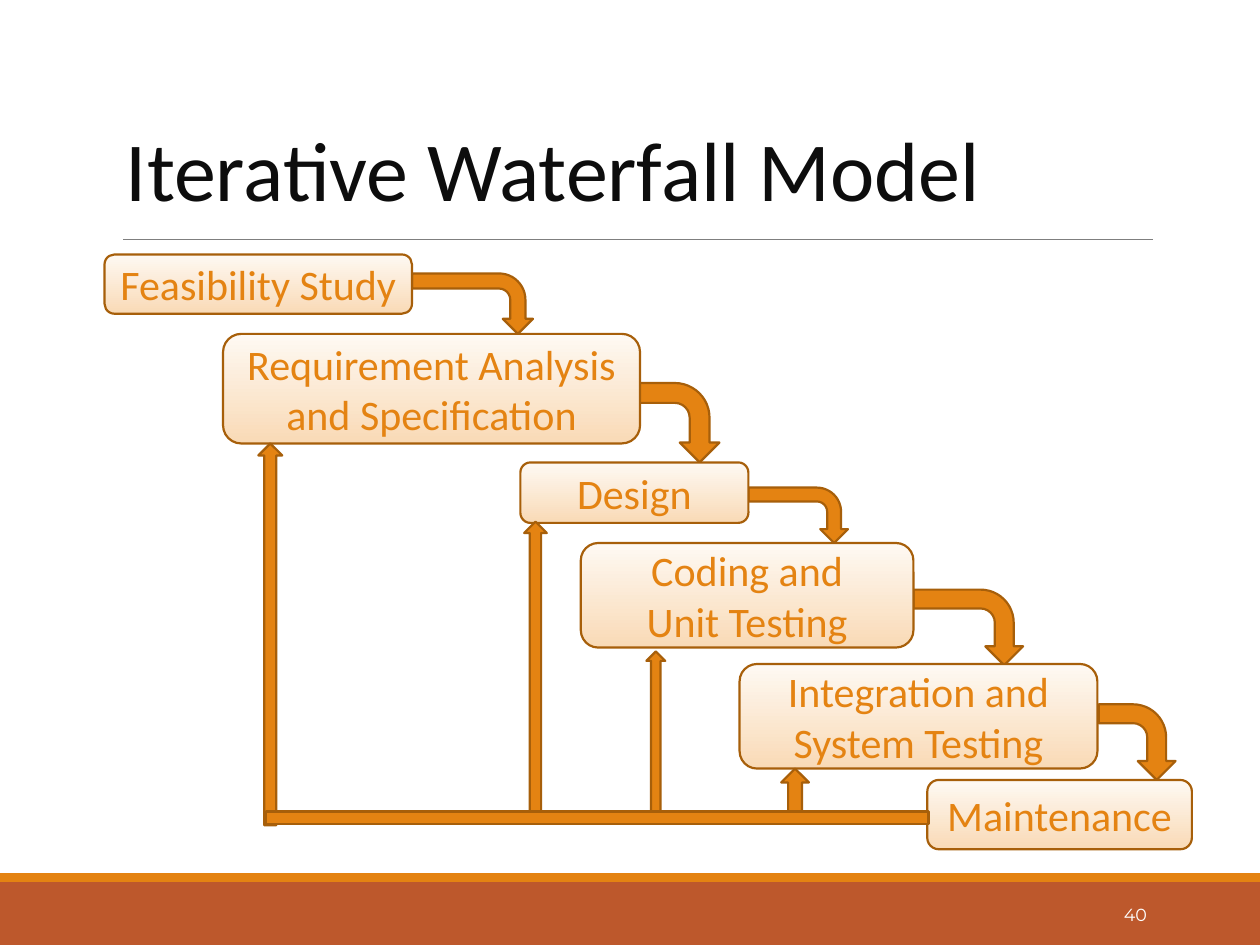
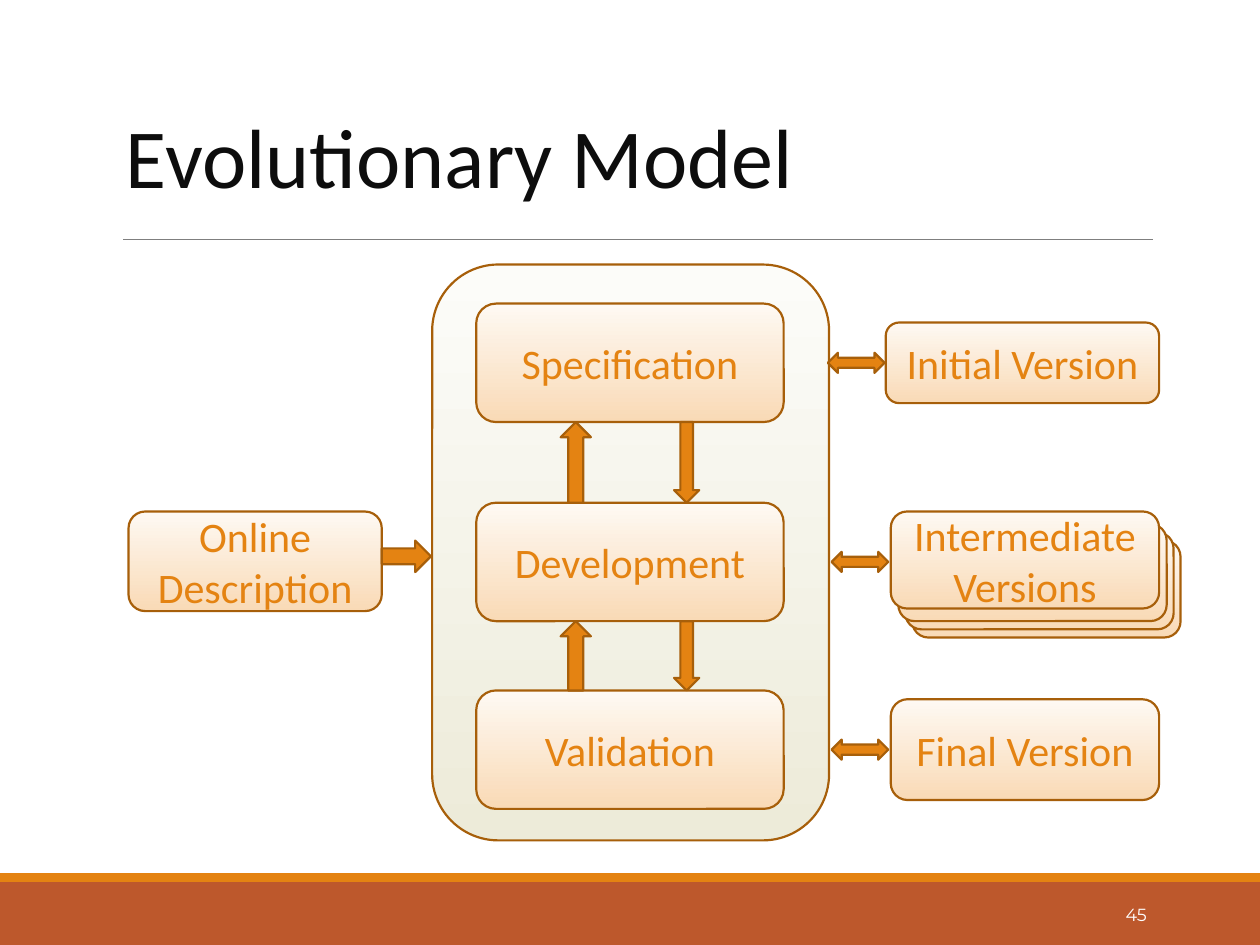
from dataclasses import dataclass
from itertools import pairwise

from lxml.etree import SubElement
from pptx import Presentation
from pptx.dml.color import RGBColor
from pptx.enum.shapes import MSO_CONNECTOR as Line, MSO_SHAPE as Shape
from pptx.enum.text import MSO_ANCHOR, PP_ALIGN as Align
from pptx.oxml.ns import qn
from pptx.shapes.autoshape import Shape as AutoShape
from pptx.slide import Slide
from pptx.util import Inches, Pt

WHITE = RGBColor(0xFF, 0xFF, 0xFF)
INK = RGBColor(0x0D, 0x0D, 0x0D)
GRAY = RGBColor(0x7F, 0x7F, 0x7F)
RUST = RGBColor(0xBD, 0x58, 0x2C)
ORANGE = RGBColor(0xE4, 0x83, 0x12)
BROWN = RGBColor(0xA7, 0x5F, 0x0A)
PEACH = (RGBColor(0xFE, 0xF9, 0xF3), RGBColor(0xF9, 0xDA, 0xB6))
IVORY = (RGBColor(0xFC, 0xFC, 0xF9), RGBColor(0xED, 0xEB, 0xD9))


@dataclass(frozen=True)
class Box:
    left: float
    top: float
    width: float
    height: float

    @property
    def bottom(self) -> float:
        return self.top + self.height

    def emu(self) -> tuple:
        return tuple(Inches(v) for v in (self.left, self.top, self.width, self.height))

    def turned(self) -> "Box":
        shift = (self.width - self.height) / 2
        return Box(self.left + shift, self.top - shift, self.height, self.width)


@dataclass(frozen=True)
class Step:
    text: str
    box: Box


def write(sp: AutoShape, text: str, *, size: float = 24, color: RGBColor = ORANGE,
          font: str = "Calibri", align: Align = Align.CENTER, inset: float = 0.1,
          spacing: float = 1, before: float = 0) -> None:
    tf = sp.text_frame
    tf.word_wrap = True
    tf.vertical_anchor = MSO_ANCHOR.MIDDLE
    tf.margin_left = tf.margin_right = Inches(inset)
    tf.margin_top = tf.margin_bottom = Inches(0.05)
    tf.text = text
    for p in tf.paragraphs:
        p.alignment = align
        p.line_spacing = spacing
        p.space_before = Pt(before)
        for r in p.runs:
            r.font.name = font
            r.font.size = Pt(size)
            r.font.color.rgb = color


def draw(s: Slide, kind: Shape, box: Box, fill: RGBColor | tuple = ORANGE,
         outlined: bool = True) -> AutoShape:
    sp = s.shapes.add_shape(kind, *box.emu())
    sp.shadow.inherit = False
    if isinstance(fill, RGBColor):
        sp.fill.solid()
        sp.fill.fore_color.rgb = fill
    else:
        sp.fill.gradient()
        sp.fill.gradient_angle = 270
        for stop, color in zip(sp.fill.gradient_stops, fill):
            stop.color.rgb = color
    if outlined:
        sp.line.color.rgb = BROWN
        sp.line.width = Pt(1.25)
    else:
        sp.line.fill.background()
    return sp


def draw_step(s: Slide, step: Step) -> None:
    write(draw(s, Shape.ROUNDED_RECTANGLE, step.box, PEACH), step.text)


def draw_bent_arrow(s: Slide, box: Box) -> None:
    draw(s, Shape.BENT_ARROW, box.turned()).rotation = 90


def add_slide(prs: Presentation, title: str, title_top: float, number: str) -> Slide:
    s = prs.slides.add_slide(prs.slide_layouts[6])
    draw(s, Shape.RECTANGLE, Box(0, 7, 10, 0.5), RUST, outlined=False)
    draw(s, Shape.RECTANGLE, Box(0, 6.93, 10, 0.07), ORANGE, outlined=False)
    rule = s.shapes.add_connector(
        Line.STRAIGHT, Inches(0.98), Inches(1.9), Inches(9.15), Inches(1.9))
    rule.line.color.rgb = GRAY
    rule.line.width = Pt(0.5)
    SubElement(rule.element.spPr, qn("a:effectLst"))
    write(s.shapes.add_textbox(*Box(0.98, title_top, 8.5, 1.25).emu()), title, size=48,
          color=INK, align=Align.LEFT, inset=0.02, spacing=0.85, before=10)
    write(s.shapes.add_textbox(*Box(8.12, 7.06, 1.08, 0.4).emu()), number, size=10,
          color=WHITE, font="Montserrat", align=Align.RIGHT)
    return s


def build_waterfall(prs: Presentation) -> None:
    s = add_slide(prs, "Iterative Waterfall Model", 0.77, "40")
    bent_arrows = [
        Box(3.27, 2.17, 0.96, 0.48),
        Box(4.75, 3.04, 0.96, 0.63),
        Box(5.94, 3.87, 0.79, 0.44),
        Box(7.25, 4.68, 0.87, 0.6),
        Box(8.72, 5.59, 0.61, 0.6),
    ]
    steps = [
        Step("Feasibility Study", Box(0.83, 2.02, 2.44, 0.47)),
        Step("Requirement Analysis and Specification", Box(1.77, 2.65, 3.31, 0.87)),
        Step("Design", Box(4.13, 3.67, 1.81, 0.48)),
        Step("Coding and\nUnit Testing", Box(4.61, 4.31, 2.64, 0.83)),
        Step("Integration and System Testing", Box(5.87, 5.27, 2.84, 0.83)),
        Step("Maintenance", Box(7.36, 6.19, 2.1, 0.55)),
    ]
    feedback_arrows = [
        Box(2.05, 3.52, 0.19, 3.03),
        Box(4.16, 4.14, 0.18, 2.38),
        Box(5.13, 5.17, 0.15, 1.35),
        Box(6.2, 6.1, 0.22, 0.42),
    ]
    for box in bent_arrows:
        draw_bent_arrow(s, box)
    for step in steps:
        draw_step(s, step)
    for box in feedback_arrows:
        draw(s, Shape.UP_ARROW, box)
    draw(s, Shape.RECTANGLE, Box(2.11, 6.44, 5.26, 0.1))


def build_evolutionary(prs: Presentation) -> None:
    s = add_slide(prs, "Evolutionary Model", 0.67, "45")
    draw_step(s, Step("Online Description", Box(1.02, 4.06, 2.01, 0.79)))
    draw(s, Shape.ROUNDED_RECTANGLE, Box(3.43, 2.1, 3.15, 4.57), IVORY)

    for i in (2, 1, 0):
        draw(s, Shape.ROUNDED_RECTANGLE,
             Box(7.13 + 0.055 * i, 4.16 + 0.065 * i, 2.13, 0.77), PEACH)
    versions = [
        Step("Initial Version", Box(7.03, 2.56, 2.17, 0.64)),
        Step("Intermediate Versions", Box(7.07, 4.06, 2.13, 0.77)),
        Step("Final Version", Box(7.07, 5.55, 2.13, 0.8)),
    ]
    phases = [
        Step(text, Box(3.78, top, 2.44, 0.94)) for text, top in
        (("Specification", 2.41), ("Development", 3.99), ("Validation", 5.48))
    ]
    for step in versions + phases:
        draw_step(s, step)

    for upper, lower in pairwise(phases):
        top = upper.box.bottom
        gap = lower.box.top - top
        draw(s, Shape.UP_ARROW, Box(4.45, top, 0.24, gap))
        draw(s, Shape.DOWN_ARROW, Box(5.35, top, 0.2, gap))
    draw(s, Shape.RIGHT_ARROW, Box(3.03, 4.29, 0.39, 0.25))
    for left, top in ((6.57, 2.8), (6.6, 4.38), (6.6, 5.87)):
        draw(s, Shape.LEFT_RIGHT_ARROW, Box(left, top, 0.45, 0.16))


def main() -> None:
    prs = Presentation()
    prs.slide_width, prs.slide_height = Inches(10), Inches(7.5)
    build_waterfall(prs)
    build_evolutionary(prs)
    prs.save("out.pptx")


if __name__ == "__main__":
    main()
